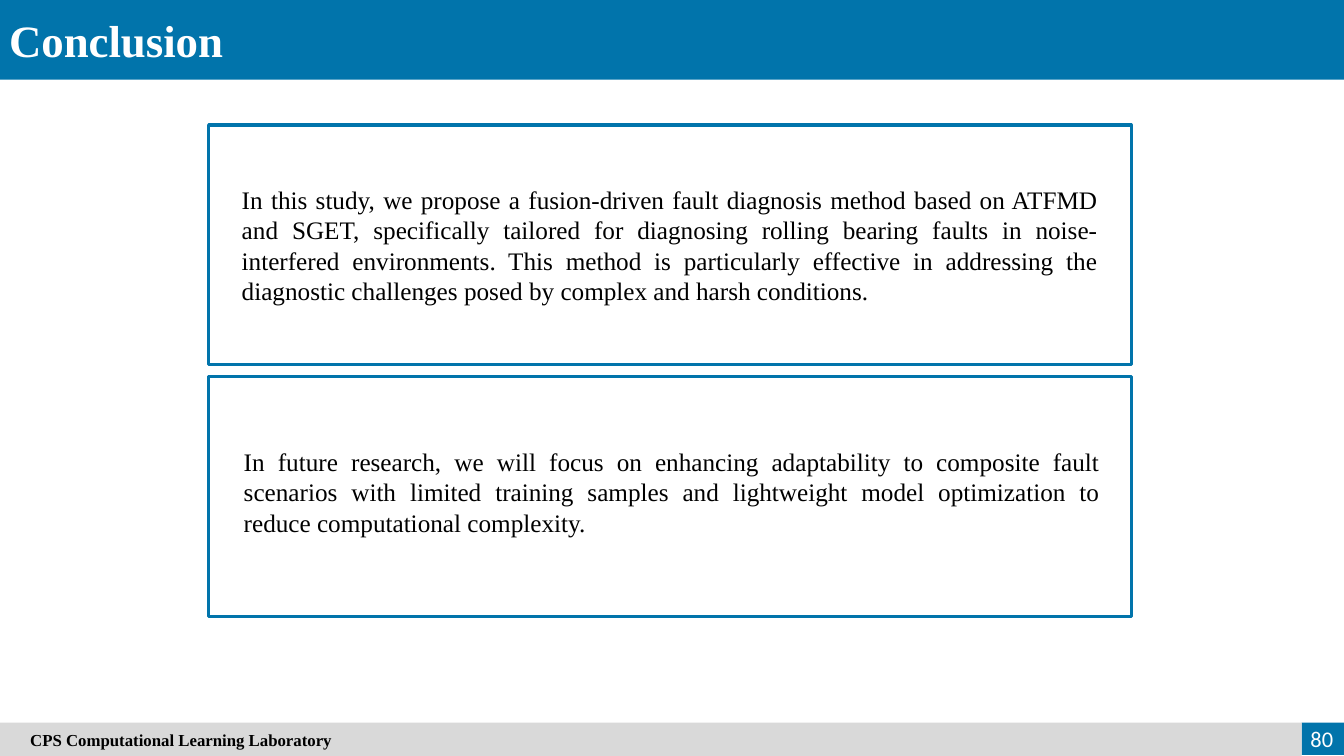
import pptx
import pptx.util
import pptx.dml.color
import pptx.enum.shapes
import pptx.enum.text

BLUE, GREY, WHITE, BLACK = "0174AB", "D9D9D9", "FFFFFF", "000000"
SERIF, SANS = "Times New Roman", "Calibri"
ALIGN = pptx.enum.text.PP_ALIGN
ANCHOR = pptx.enum.text.MSO_ANCHOR


def colour(value):
    return pptx.dml.color.RGBColor.from_string(value)


class ConclusionSlide:
    """Draws styled elements on one slide, with lengths in percent of its size."""

    def __init__(self, deck):
        self.deck = deck
        self.slide = deck.slides.add_slide(deck.slide_layouts[5])

    def area(self, left, top, width, height):
        across, down = self.deck.slide_width, self.deck.slide_height
        return [pptx.util.Emu(round(share * full / 100)) for share, full in
                ((left, across), (top, down), (width, across), (height, down))]

    def add_words(self, holder, words, size, ink, font=SERIF, bold=False,
                  align=ALIGN.JUSTIFY, anchor=ANCHOR.TOP, indent=0.1):
        frame = holder.text_frame
        frame.word_wrap = True
        frame.auto_size = pptx.enum.text.MSO_AUTO_SIZE.NONE
        frame.vertical_anchor = anchor
        frame.margin_left = pptx.util.Inches(indent)
        paragraph = frame.paragraphs[0]
        paragraph.alignment = align
        run = paragraph.add_run()
        run.text = words
        run.font.name, run.font.size, run.font.bold = font, pptx.util.Pt(size), bold
        run.font.color.rgb = colour(ink)

    def title(self, words, *place):
        heading = self.slide.shapes.title
        heading.left, heading.top, heading.width, heading.height = self.area(*place)
        heading._element.getparent().append(heading._element)
        self.add_words(heading, words, 32, WHITE, bold=True)

    def text(self, words, *place, **style):
        holder = self.slide.shapes.add_textbox(*self.area(*place))
        self.add_words(holder, words, **style)

    def rectangle(self, *place, fill=None, outline=None):
        block = self.slide.shapes.add_shape(
            pptx.enum.shapes.MSO_SHAPE.RECTANGLE, *self.area(*place))
        block.shadow.inherit = False
        if fill:
            block.fill.solid()
            block.fill.fore_color.rgb = colour(fill)
        else:
            block.fill.background()
        if outline:
            block.line.color.rgb = colour(outline)
            block.line.width = pptx.util.Pt(2.25)
        else:
            block.line.fill.background()
        return block


def main():
    deck = pptx.Presentation()
    deck.slide_width = pptx.util.Inches(13.33)
    deck.slide_height = pptx.util.Inches(7.5)
    page = ConclusionSlide(deck)

    page.rectangle(0, 0, 100, 10.53, fill=BLUE)
    page.title("Conclusion", -0.08, 1.07, 40.28, 8.53)

    page.rectangle(96.85, 95.6, 3.15, 4.27, fill=BLUE)
    footer = page.rectangle(0, 95.6, 96.85, 4.4, fill=GREY)
    page.add_words(footer, "CPS Computational Learning Laboratory", 12, BLACK, bold=True,
                   align=ALIGN.LEFT, anchor=ANCHOR.MIDDLE, indent=0.3)
    page.text("80", 95.2, 95.07, 4.73, 5.33, size=16, ink=WHITE, font=SANS,
              align=ALIGN.RIGHT, anchor=ANCHOR.MIDDLE)

    statements = [
        ("In this study, we propose a fusion-driven fault diagnosis method based on "
         "ATFMD and SGET, specifically tailored for diagnosing rolling bearing faults "
         "in noise-interfered environments. This method is particularly effective in "
         "addressing the diagnostic challenges posed by complex and harsh conditions.",
         17.25, 23.73, 17.47),
        ("In future research, we will focus on enhancing adaptability to composite "
         "fault scenarios with limited training samples and lightweight model "
         "optimization to reduce computational complexity.",
         17.4, 58.4, 13.47),
    ]
    for row, (statement, left, top, height) in enumerate(statements):
        page.rectangle(15.53, 16.53 + row * 33.33, 68.64, 31.73, outline=BLUE)
        page.text(statement, left, top, 65.19, height, size=18, ink=BLACK)

    deck.save("out.pptx")


if __name__ == "__main__":
    main()
